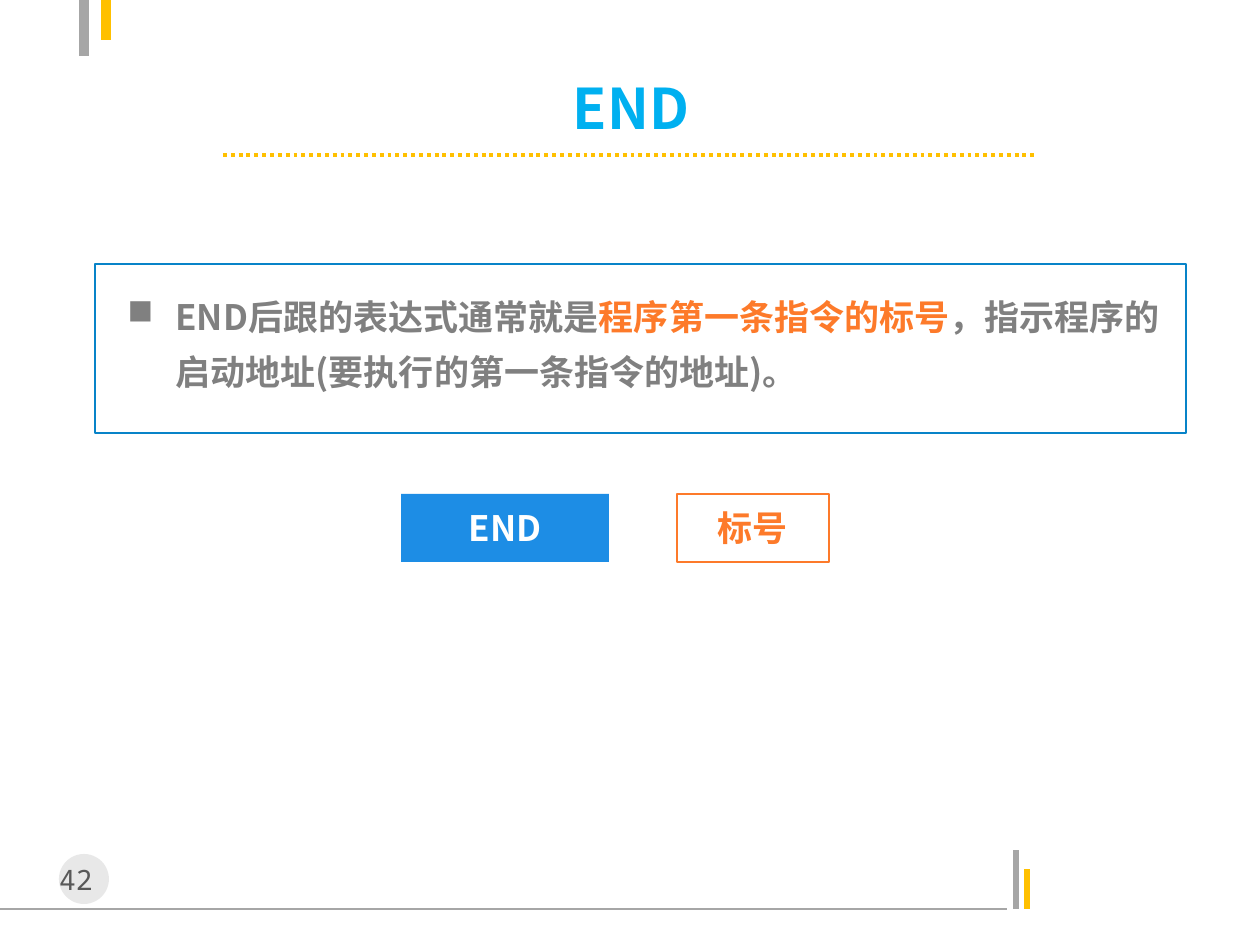
from dataclasses import dataclass

from lxml.etree import SubElement
from pptx import Presentation
from pptx.dml.color import RGBColor
from pptx.enum.dml import MSO_LINE
from pptx.enum.shapes import MSO_CONNECTOR, MSO_SHAPE
from pptx.enum.text import MSO_ANCHOR, PP_ALIGN
from pptx.oxml.ns import qn
from pptx.util import Emu, Pt

EMU_PER_PX = 914400 / 126


@dataclass(frozen=True)
class Theme:
    """Colours, fonts and type sizes of the slide."""
    gray: str = "A6A6A6"
    gold: str = "FFC000"
    disc: str = "BFBFBF"
    number: str = "595959"
    title: str = "00B0F0"
    frame: str = "0883C8"
    keyword: str = "1D8DE5"
    accent: str = "FD7A2A"
    body: str = "808080"
    white: str = "FFFFFF"
    sans: str = "Noto Sans CJK SC"
    mono: str = "Noto Sans Mono"
    title_size: int = 32
    body_size: int = 20
    number_size: int = 16


THEME = Theme()


def px(length):
    """Turn pixels into EMU."""
    return Emu(round(length * EMU_PER_PX))


def rgb(color):
    """Turn a hex string into a colour."""
    return RGBColor.from_string(color)


def add_line(page, start, end, color, width, dash=None):
    """Draw a straight line without shadow."""
    line = page.shapes.add_connector(
        MSO_CONNECTOR.STRAIGHT, *map(px, start + end))
    line.line.color.rgb = rgb(color)
    line.line.width = Pt(width)
    if dash:
        line.line.dash_style = dash
    SubElement(line.element.spPr, qn("a:effectLst"))


def add_shape(page, kind, area, fill=None, outline=None):
    """Add a flat shape with an optional fill and outline."""
    shape = page.shapes.add_shape(kind, *map(px, area))
    shape.shadow.inherit = False
    if fill:
        shape.fill.solid()
        shape.fill.fore_color.rgb = rgb(fill)
    else:
        shape.fill.background()
    if outline:
        shape.line.color.rgb = rgb(outline)
        shape.line.width = Pt(0.75)
    else:
        shape.line.fill.background()
    return shape


def set_font(para, size, color, name=THEME.sans, bold=True):
    """Set the font of a paragraph for Latin and East Asian text."""
    font = para.font
    font.size, font.bold, font.name = Pt(size), bold, name
    font.color.rgb = rgb(color)
    SubElement(para._p.pPr.find(qn("a:defRPr")), qn("a:ea"), typeface=name)


def write_centered(box, text, size, color, **font):
    """Write one centred line in a box."""
    box.text_frame.vertical_anchor = MSO_ANCHOR.MIDDLE
    para = box.text_frame.paragraphs[0]
    para.text = text
    para.alignment = PP_ALIGN.CENTER
    set_font(para, size, color, **font)


def add_label(page, area, text, color, **look):
    """Add a rectangle with a centred label."""
    box = add_shape(page, MSO_SHAPE.RECTANGLE, area, **look)
    write_centered(box, text, THEME.body_size, color)


def add_bullet(page, area, parts):
    """Add a square-bulleted paragraph of (text, colour) parts."""
    box = page.shapes.add_textbox(*map(px, area))
    box.text_frame.word_wrap = True
    para = box.text_frame.paragraphs[0]
    para.line_spacing = 1.33
    properties = para._p.get_or_add_pPr()
    properties.set("marL", str(px(48)))
    properties.set("indent", str(px(-48)))
    SubElement(properties, qn("a:buChar"), char="■")
    set_font(para, THEME.body_size, THEME.body)
    for text, color in parts:
        span = para.add_run()
        span.text = text
        span.font.color.rgb = rgb(color)


def add_decoration(page):
    """Draw the rules and bars at the slide edges."""
    add_line(page, (0, 909), (1007, 909), THEME.gray, 0.75)
    add_line(page, (1016, 909), (1016, 850), THEME.gray, 3)
    add_line(page, (1027, 909), (1027, 869), THEME.gold, 3)
    add_line(page, (84, 56), (84, 0), THEME.gray, 6)
    add_line(page, (106, 0), (106, 40), THEME.gold, 6)


def add_page_number(page, number):
    """Draw the page number on a translucent disc."""
    disc = add_shape(page, MSO_SHAPE.OVAL, (59, 854, 50, 50), THEME.disc)
    color = disc.element.spPr.find(qn("a:solidFill"))[0]
    SubElement(color, qn("a:alpha"), val="35000")
    box = page.shapes.add_textbox(*map(px, (31, 856, 90, 47)))
    box.text_frame.word_wrap = True
    write_centered(box, number, THEME.number_size, THEME.number,
                   name=THEME.mono, bold=False)


def add_title(page, text):
    """Write the title over its dotted rule."""
    box = page.shapes.add_textbox(*map(px, (174, 76, 914, 63)))
    box.text_frame.word_wrap = False
    write_centered(box, text, THEME.title_size, THEME.title)
    add_line(page, (223, 155), (1037, 155), THEME.gold, 2.25,
             MSO_LINE.ROUND_DOT)


def main():
    """Build and save the slide."""
    deck = Presentation()
    deck.slide_width, deck.slide_height = px(1260), px(945)
    page = deck.slides.add_slide(deck.slide_layouts[6])
    add_decoration(page)
    add_page_number(page, "42")
    add_label(page, (677, 494, 152, 68), "标号", THEME.accent,
              outline=THEME.accent)
    add_label(page, (401, 494, 208, 68), "END", THEME.white,
              fill=THEME.keyword)
    add_title(page, "END")
    add_shape(page, MSO_SHAPE.RECTANGLE, (95, 264, 1091, 169),
              outline=THEME.frame)
    add_bullet(page, (115, 275, 1071, 126), [
        ("END后跟的表达式通常就是", THEME.body),
        ("程序第一条指令的标号", THEME.accent),
        ("，指示程序的启动地址(要执行的第一条指令的地址)。", THEME.body),
    ])
    deck.save("out.pptx")


if __name__ == "__main__":
    main()
